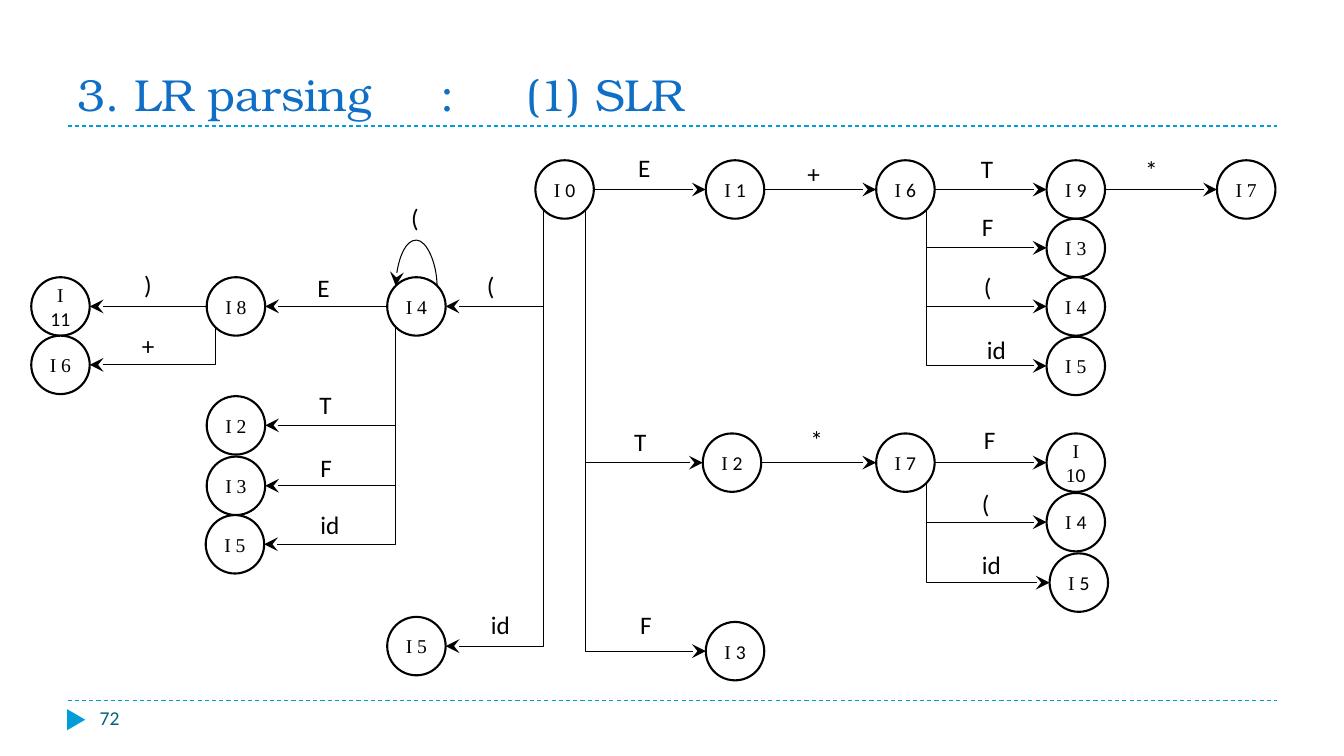
import math
from dataclasses import dataclass

import lxml.etree
import pptx
import pptx.dml.color
import pptx.enum.dml
import pptx.enum.shapes
import pptx.enum.text
import pptx.oxml.ns
import pptx.util

Inches = pptx.util.Inches
Pt = pptx.util.Pt
qn = pptx.oxml.ns.qn
SHAPE = pptx.enum.shapes.MSO_SHAPE
CONNECTOR = pptx.enum.shapes.MSO_CONNECTOR
ALIGN = pptx.enum.text.PP_ALIGN
ANCHOR = pptx.enum.text.MSO_ANCHOR


def rgb(code):
    return pptx.dml.color.RGBColor.from_string(code)


@dataclass(frozen=True)
class Theme:
    black = rgb("000000")
    white = rgb("FFFFFF")
    title = rgb("0F6FC6")
    accent = rgb("009DD9")
    number = rgb("04617B")
    title_font = "TeX Gyre Bonum"
    sans = "Calibri"
    serif = "Times New Roman"
    title_size = Pt(32)
    symbol_size = Pt(18)
    small_size = Pt(14)
    thin = Pt(0.75)
    outline = Pt(1.5)


T = Theme()
DIAMETER = 0.58
RADIUS = DIAMETER / 2
DIAGONAL = RADIUS * math.sqrt(0.5)

# Path from I 0: (serif text, sans text, state centre, symbol corner)
START = {"": ("I ", "0", (0.29, 0.3), None)}
RIGHT_STATES = {
    "E": ("I ", "1", (1.98, 0.3), (0.92, -0.12)),
    "E +": ("I ", "6", (3.67, 0.3), (2.6, -0.06)),
    "E + T": ("I ", "9", (5.36, 0.3), (4.32, -0.11)),
    "E + T *": ("I 7", "", (7.05, 0.3), (5.95, -0.1)),
    "E + F": ("I 3", "", (5.36, 0.88), (4.33, 0.47)),
    "E + (": ("I 4", "", (5.36, 1.46), (4.35, 1.06)),
    "E + id": ("I 5", "", (5.36, 2.05), (4.38, 1.69)),
    "T": ("I ", "2", (1.95, 3.01), (0.88, 2.6)),
    "T *": ("I ", "7", (3.67, 3.01), (2.63, 2.58)),
    "T * F": ("I 1", "0", (5.36, 3.01), (4.35, 2.58)),
    "T * (": ("I ", "4", (5.36, 3.6), (4.33, 3.22)),
    "T * id": ("I ", "5", (5.39, 4.2), (4.33, 3.82)),
    "F": ("I ", "3", (1.98, 4.88), (0.94, 4.42)),
}
LEFT_STATES = {
    "(": ("I 4", "", (3.82, 1.46), (4.42, 1.05)),
    "( E": ("I 8", "", (2.03, 1.46), (2.74, 1.07)),
    "( E )": ("I ", "11", (0.29, 1.46), (1.02, 1.04)),
    "( E +": ("I 6", "", (0.29, 2.04), (1, 1.65)),
    "( T": ("I 2", "", (2.03, 2.64), (2.76, 2.23)),
    "( F": ("I 3", "", (2.03, 3.24), (2.77, 2.86)),
    "( id": ("I 5", "", (2.02, 3.82), (2.77, 3.42)),
    "id": ("I 5", "", (3.82, 4.83), (4.46, 4.42)),
}


def set_font(p, name, size, color):
    p.font.name, p.font.size, p.font.color.rgb = name, size, color


def add_text(s, x, y, w, h, text, size, color):
    tf = s.shapes.add_textbox(Inches(x), Inches(y), Inches(w), Inches(h)).text_frame
    tf.word_wrap = True
    p = tf.paragraphs[0]
    p.text = text
    set_font(p, T.sans, size, color)


def add_line(s, x1, y1, x2, y2, color, kind=CONNECTOR.STRAIGHT):
    c = s.shapes.add_connector(kind, Inches(x1), Inches(y1), Inches(x2), Inches(y2))
    c.line.color.rgb = color
    c.line.width = T.thin
    lxml.etree.SubElement(c._element.spPr, qn("a:effectLst"))
    return c


def add_arrow(s, x1, y1, x2, y2, kind=CONNECTOR.STRAIGHT):
    c = add_line(s, x1, y1, x2, y2, T.black, kind)
    ln = c._element.spPr.find(qn("a:ln"))
    lxml.etree.SubElement(ln, qn("a:tailEnd"), type="stealth", w="lg", len="lg")
    return c


def turn(c, preset, x1, y1, x2, y2, **flips):
    """Rotate a connector a quarter turn, so that it leaves its start vertically."""
    w, h = abs(y2 - y1), abs(x2 - x1)
    c.left, c.top = Inches((x1 + x2 - w) / 2), Inches((y1 + y2 - h) / 2)
    c.width, c.height = Inches(w), Inches(h)
    xfrm = c._element.spPr.find(qn("a:xfrm"))
    for name in ("flipH", "flipV"):
        xfrm.attrib.pop(name, None)
    for name, value in flips.items():
        xfrm.set(name, value)
    geom = c._element.spPr.find(qn("a:prstGeom"))
    geom.set("prst", preset)
    return geom


def add_state(s, x, y, serif, sans):
    sp = s.shapes.add_shape(SHAPE.OVAL, Inches(x - RADIUS), Inches(y - RADIUS),
                            Inches(DIAMETER), Inches(DIAMETER))
    sp.shadow.inherit = False
    sp.fill.solid()
    sp.fill.fore_color.rgb = T.white
    sp.line.color.rgb = T.black
    sp.line.width = T.outline
    tf = sp.text_frame
    tf.word_wrap = True
    tf.vertical_anchor = ANCHOR.MIDDLE
    tf.margin_left = tf.margin_right = Inches(0.07)
    tf.margin_top = tf.margin_bottom = 0
    p = tf.paragraphs[0]
    p.alignment = ALIGN.CENTER
    set_font(p, T.serif, T.small_size, T.black)
    p.add_run().text = serif
    if sans:
        r = p.add_run()
        r.text = sans
        r.font.name = T.sans


def add_transition(s, source, target):
    (x1, y1), (x2, y2) = source, target
    side = 1 if x2 > x1 else -1
    end = x2 - side * RADIUS
    if abs(y2 - y1) < 0.1:
        add_arrow(s, x1 + side * RADIUS, y1, end, y2)
        return
    bend = (x1 + side * DIAGONAL, y1 + DIAGONAL, end, y2)
    c = add_arrow(s, *bend, CONNECTOR.ELBOW)
    flips = {"rot": "16200000", "flipH": "1"} if side > 0 else {"rot": "5400000"}
    turn(c, "bentConnector2", *bend, **flips)


def add_states(s, x, y, states, centres):
    """Place the states of one region with the transitions that lead to them."""
    for route, (serif, sans, (cx, cy), corner) in states.items():
        centres[route] = (x + cx, y + cy)
        add_state(s, *centres[route], serif, sans)
        if corner:
            before, _, symbol = route.rpartition(" ")
            add_transition(s, centres[before], centres[route])
            add_text(s, x + corner[0], y + corner[1], 0.45, 0.4, symbol,
                     T.symbol_size, T.black)


def add_self_loop(s, centre):
    x, y = centre
    ends = (x + DIAGONAL, y - DIAGONAL + 0.01, x - DIAGONAL, y - DIAGONAL)
    c = add_arrow(s, *ends, CONNECTOR.CURVE)
    geom = turn(c, "curvedConnector3", *ends, rot="16200000", flipV="1")
    guides = geom.find(qn("a:avLst"))
    if guides is None:
        guides = lxml.etree.SubElement(geom, qn("a:avLst"))
    lxml.etree.SubElement(guides, qn("a:gd"), name="adj1", fmla="val 4700000")
    add_text(s, x - 0.15, y - 1.08, 0.45, 0.4, "(", T.symbol_size, T.black)


def add_rule(s, x, y, w):
    c = add_line(s, x, y, x + w, y, T.accent)
    c.line.dash_style = pptx.enum.dml.MSO_LINE.DASH


def add_header(s, x, y, w, h):
    add_rule(s, x, y + h, w)
    title = s.shapes.title
    title.left, title.top, title.width, title.height = map(Inches, (x, y, w, h))
    tf = title.text_frame
    tf.vertical_anchor = ANCHOR.BOTTOM
    p = tf.paragraphs[0]
    p.text = "3. LR parsing\t:\t(1) SLR"
    p.alignment = ALIGN.LEFT
    tabs = lxml.etree.SubElement(p._p.get_or_add_pPr(), qn("a:tabLst"))
    for stop in (3.6, 4.45):
        lxml.etree.SubElement(tabs, qn("a:tab"), pos=str(Inches(stop)), algn="l")
    set_font(p, T.title_font, T.title_size, T.title)


def add_footer(s, x, y, w):
    add_rule(s, x, y, w)
    sp = s.shapes.add_shape(SHAPE.ISOSCELES_TRIANGLE, Inches(x - 0.02), Inches(y + 0.1),
                            Inches(0.21), Inches(0.18))
    sp.rotation = 90
    sp.shadow.inherit = False
    sp.fill.solid()
    sp.fill.fore_color.rgb = T.accent
    sp.line.fill.background()
    add_text(s, x + 0.22, y, 2.89, 0.4, "72", T.small_size, T.number)


def main():
    prs = pptx.Presentation()
    prs.slide_width, prs.slide_height = Inches(13.33), Inches(7.5)
    s = prs.slides.add_slide(prs.slide_layouts[5])
    add_header(s, 0.67, 0.25, 12, 1)
    centres = {}
    add_states(s, 5.31, 1.58, START | RIGHT_STATES, centres)
    add_states(s, 0.31, 1.58, LEFT_STATES, centres)
    add_self_loop(s, centres["("])
    add_footer(s, 0.67, 6.95, 12)
    prs.save("out.pptx")


if __name__ == "__main__":
    main()
